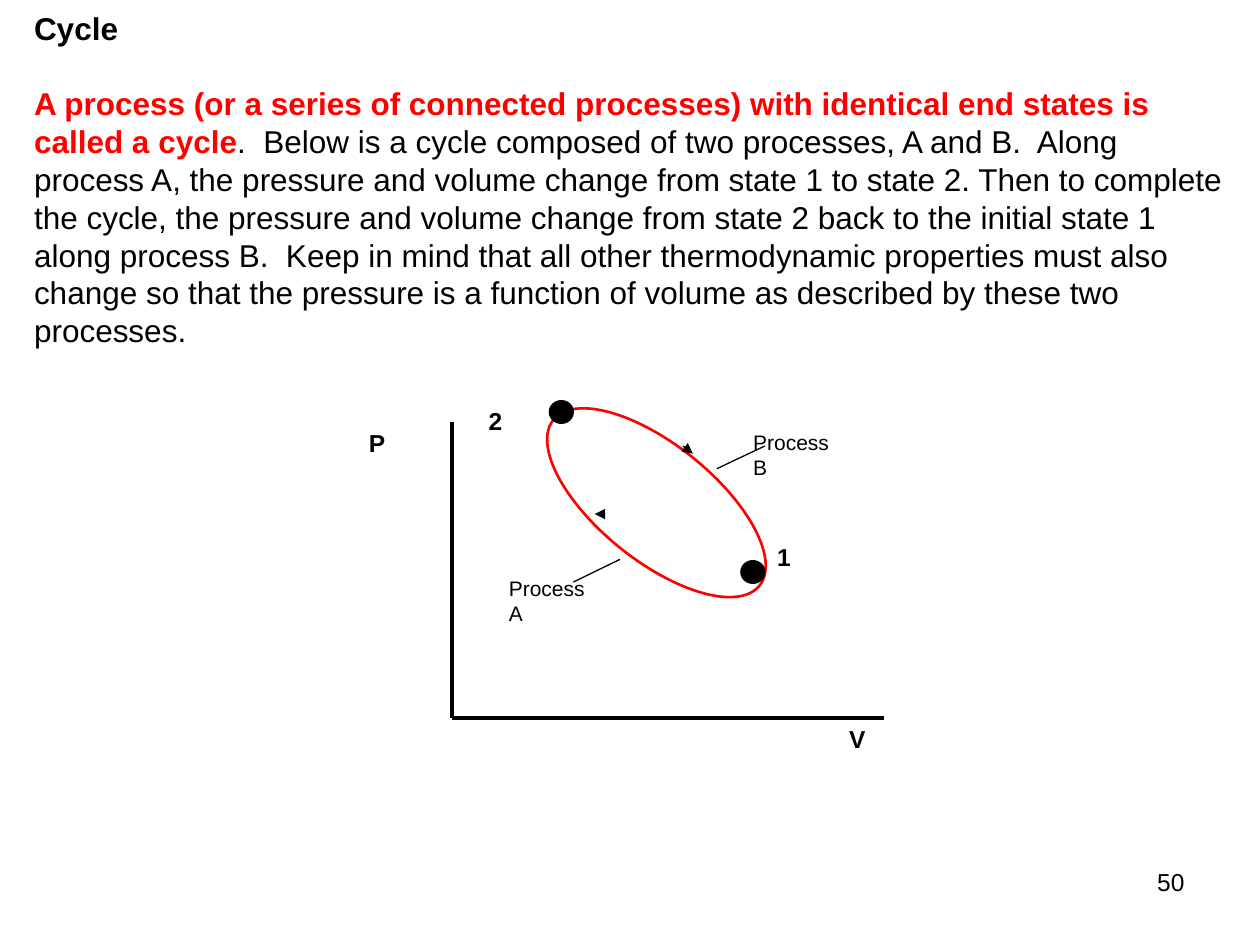
from typing import Any, NamedTuple

import lxml.etree
import pptx
import pptx.dml.color
import pptx.enum.shapes
import pptx.enum.text
import pptx.oxml.ns
import pptx.util

Inches = pptx.util.Inches
Pt = pptx.util.Pt
Align = pptx.enum.text.PP_ALIGN
qn = pptx.oxml.ns.qn

BLACK = "000000"
RED = "FF0000"
WHITE = "FFFFFF"


class Label(NamedTuple):
    text: str
    left: float
    top: float
    width: float = 0.76
    height: float = 0.72
    size: int = 14
    bold: bool = True
    align: Any = Align.LEFT


class Stroke(NamedTuple):
    start: tuple[float, float]
    end: tuple[float, float]
    weight: float = 0.75
    arrow: str = ""


class Oval(NamedTuple):
    left: float
    top: float
    width: float = 0.19
    height: float = 0.18
    fill: str = BLACK
    line: str = BLACK
    weight: float = 0.75
    rotation: float = 0


def rgb(value: str) -> pptx.dml.color.RGBColor:
    return pptx.dml.color.RGBColor.from_string(value)


def place(shape: Any, left: float, top: float, width: float, height: float) -> None:
    shape.left, shape.top = Inches(left), Inches(top)
    shape.width, shape.height = Inches(width), Inches(height)


def prepare(frame: Any) -> None:
    frame.word_wrap = True
    frame.auto_size = pptx.enum.text.MSO_AUTO_SIZE.NONE
    frame.vertical_anchor = pptx.enum.text.MSO_ANCHOR.TOP


def write(paragraph: Any, text: str, *, size: int = 18, color: str = BLACK,
          bold: bool = False, align: Any = Align.LEFT) -> None:
    paragraph.alignment = align
    paragraph.space_before = Pt(0)
    run = paragraph.add_run()
    run.text = text
    run.font.name = "Arial"
    run.font.size = Pt(size)
    run.font.bold = bold
    run.font.color.rgb = rgb(color)


def draw_label(slide: Any, label: Label) -> None:
    box = slide.shapes.add_textbox(Inches(label.left), Inches(label.top),
                                   Inches(label.width), Inches(label.height))
    frame = box.text_frame
    prepare(frame)
    for index, line in enumerate(label.text.split("\n")):
        paragraph = frame.add_paragraph() if index else frame.paragraphs[0]
        write(paragraph, line, size=label.size, bold=label.bold, align=label.align)


def draw_stroke(slide: Any, stroke: Stroke) -> None:
    connector = slide.shapes.add_connector(
        pptx.enum.shapes.MSO_CONNECTOR.STRAIGHT,
        *(Inches(value) for value in stroke.start + stroke.end))
    connector.line.color.rgb = rgb(BLACK)
    connector.line.width = Pt(stroke.weight)
    if stroke.arrow:
        outline = connector.line._get_or_add_ln()
        lxml.etree.SubElement(outline, qn(f"a:{stroke.arrow}"), type="triangle")
    lxml.etree.SubElement(connector._element.spPr, qn("a:effectLst"))


def draw_oval(slide: Any, oval: Oval) -> None:
    shape = slide.shapes.add_shape(
        pptx.enum.shapes.MSO_SHAPE.OVAL, Inches(oval.left), Inches(oval.top),
        Inches(oval.width), Inches(oval.height))
    shape.shadow.inherit = False
    shape.rotation = oval.rotation
    shape.fill.solid()
    shape.fill.fore_color.rgb = rgb(oval.fill)
    shape.line.color.rgb = rgb(oval.line)
    shape.line.width = Pt(oval.weight)


def write_definition(slide: Any) -> None:
    heading = slide.shapes.title
    place(heading, 0.17, 0.02, 9.67, 0.4)
    prepare(heading.text_frame)
    write(heading.text_frame.paragraphs[0], "Cycle", bold=True)

    definition = slide.placeholders[1]
    place(definition, 0.17, 0.62, 9.67, 2.2)
    prepare(definition.text_frame)
    paragraph = definition.text_frame.paragraphs[0]
    properties = paragraph._p.get_or_add_pPr()
    properties.set("marL", "0")
    properties.set("indent", "0")
    lxml.etree.SubElement(properties, qn("a:buNone"))
    write(paragraph, "A process (or a series of connected processes) with identical "
          "end states is called a cycle", color=RED, bold=True)
    write(paragraph, ".  Below is a cycle composed of two processes, A and B.  Along "
          "process A, the pressure and volume change from state 1 to state 2. Then to "
          "complete the cycle, the pressure and volume change from state 2 back to the "
          "initial state 1 along process B.  Keep in mind that all other thermodynamic "
          "properties must also change so that the pressure is a function of volume as "
          "described by these two processes.")


LABELS = [
    Label("Process\nB", 5.88, 3.36, 1.87, 0.9, size=12, bold=False),
    Label("Process\nA", 3.94, 4.52, 1.74, 0.9, size=12, bold=False),
    Label("1", 6.07, 4.25),
    Label("2", 3.78, 3.17),
    Label("P", 2.83, 3.35),
    Label("V", 6.64, 5.7),
    Label("50", 7.17, 6.83, 2.33, 0.52, bold=False, align=Align.RIGHT),
]
ORIGIN = (3.59, 5.7)
AXES = [
    Stroke((3.59, 3.35), ORIGIN, 2.25),
    Stroke(ORIGIN, (7.02, 5.7), 2.25),
]
CYCLE_AND_STATES = [
    Oval(4.16, 3.53, 2.1, 0.92, WHITE, RED, 1.5, 38.8),
    Oval(5.88, 4.45),
    Oval(4.36, 3.18),
]
DIRECTIONS_AND_LEADERS = [
    Stroke((4.72, 4.08), (4.74, 4.08), arrow="headEnd"),
    Stroke((5.42, 3.54), (5.5, 3.6), arrow="tailEnd"),
    Stroke((4.55, 4.62), (4.92, 4.44)),
    Stroke((6.07, 3.54), (5.69, 3.72)),
]


def main() -> None:
    deck = pptx.Presentation()
    deck.slide_width, deck.slide_height = Inches(10), Inches(7.5)
    slide = deck.slides.add_slide(deck.slide_layouts[1])
    write_definition(slide)
    for label in LABELS:
        draw_label(slide, label)
    for axis in AXES:
        draw_stroke(slide, axis)
    for oval in CYCLE_AND_STATES:
        draw_oval(slide, oval)
    for stroke in DIRECTIONS_AND_LEADERS:
        draw_stroke(slide, stroke)
    deck.save("out.pptx")


if __name__ == "__main__":
    main()
